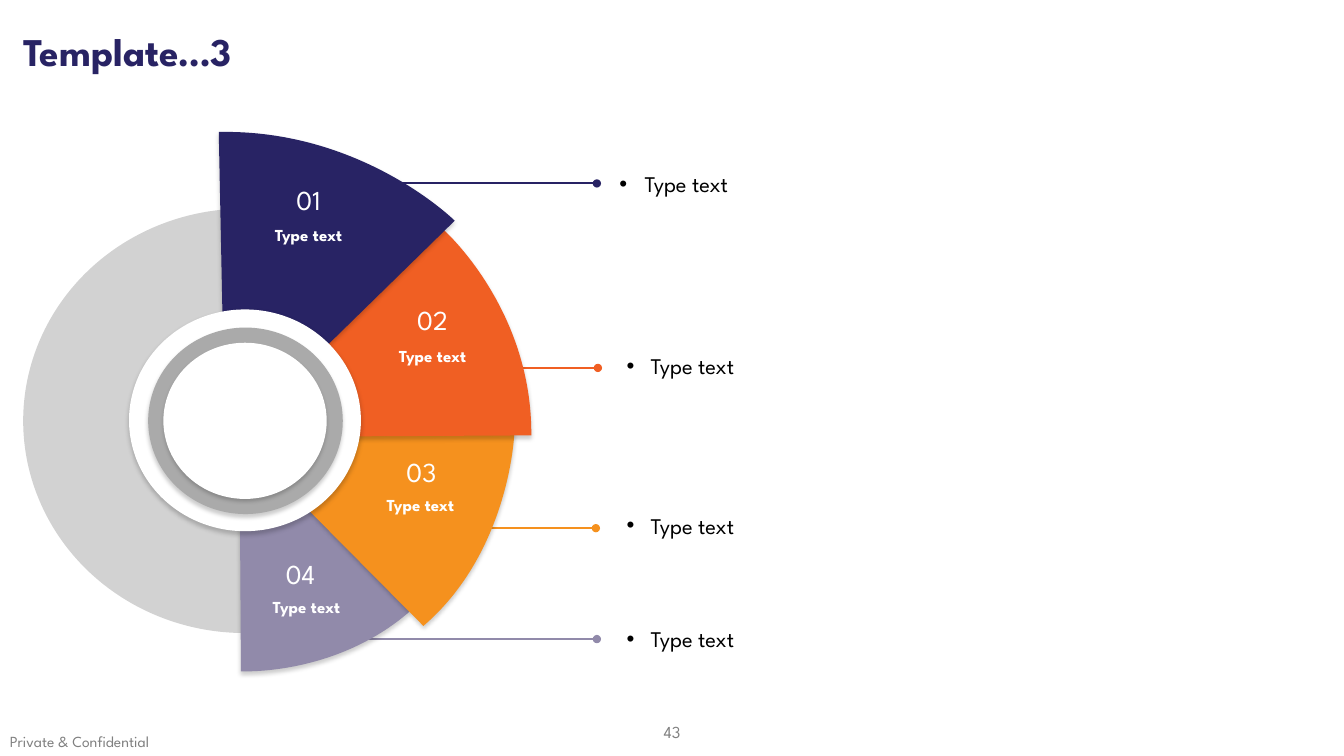
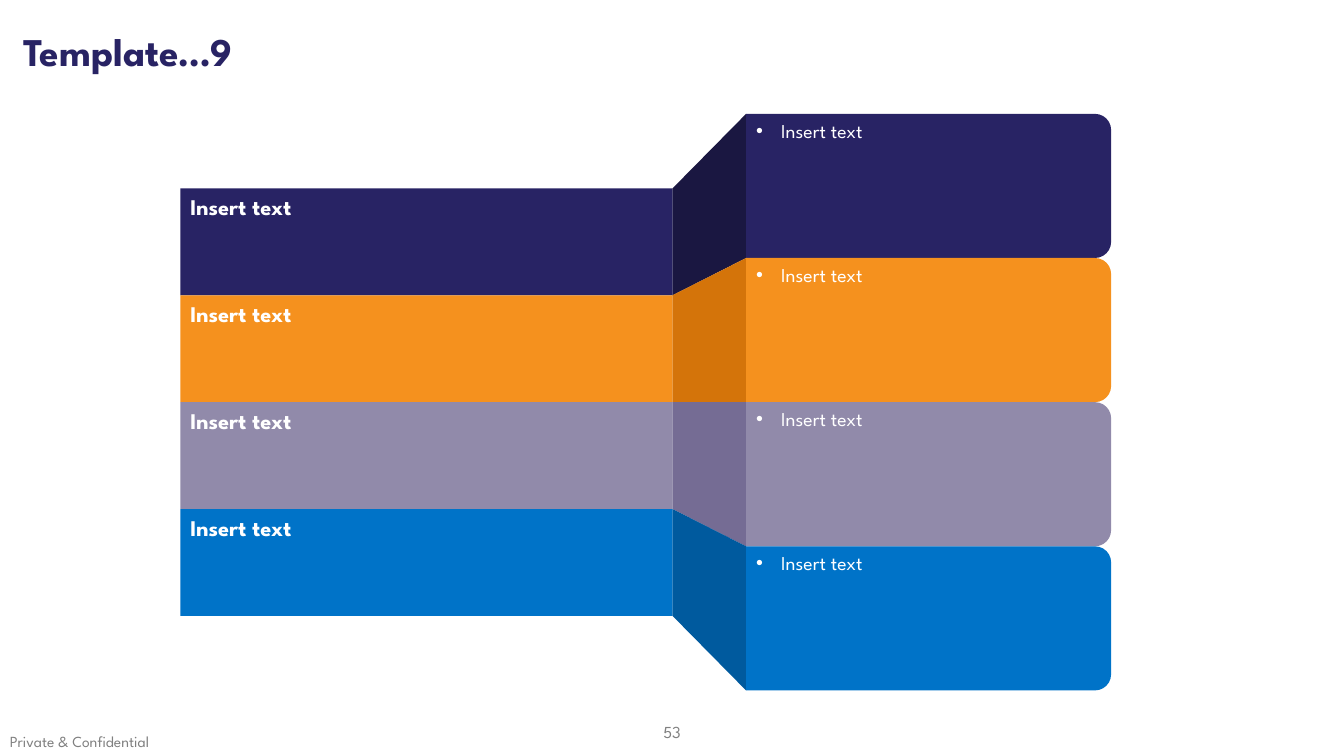
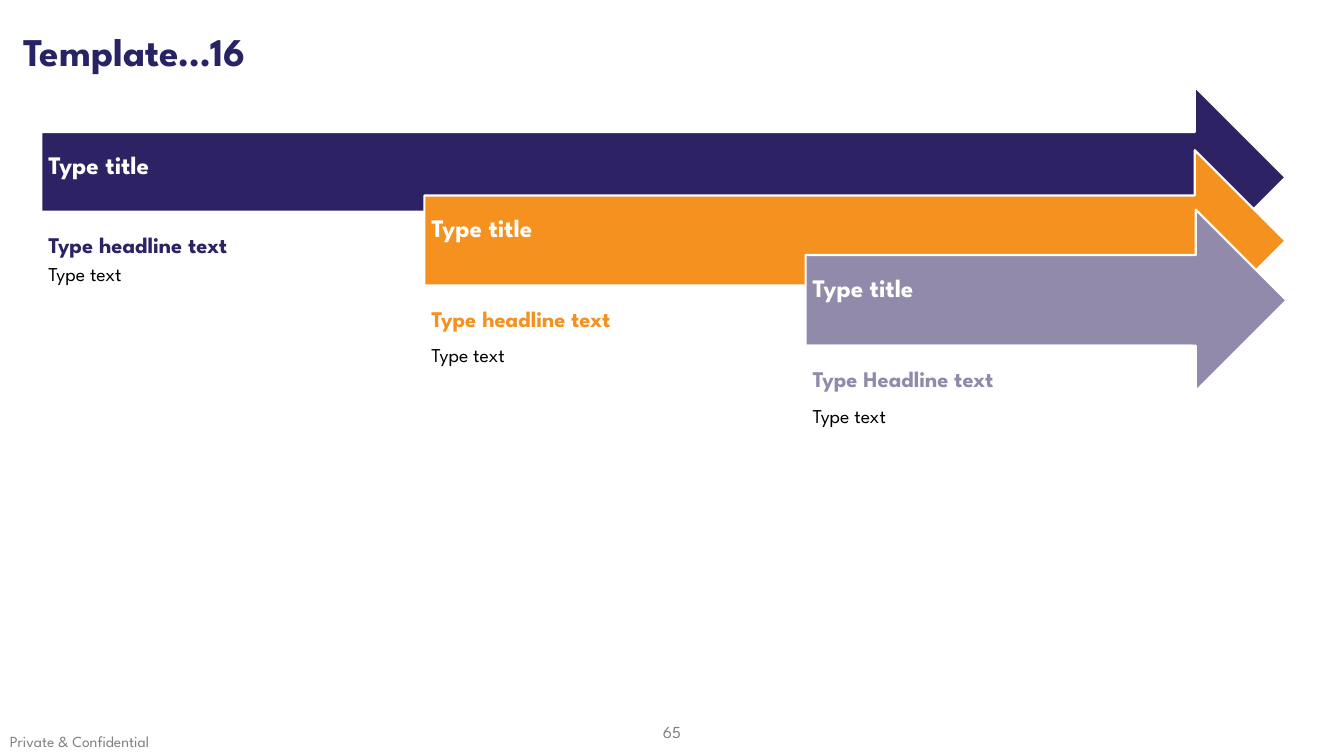
from lxml import etree
from pptx import Presentation
from pptx.dml.color import RGBColor
from pptx.enum.shapes import MSO_CONNECTOR, MSO_SHAPE as Preset
from pptx.enum.text import MSO_ANCHOR as Anchor, PP_ALIGN as Align
from pptx.oxml.ns import qn
from pptx.util import Inches, Pt

FONT = "League Spartan"
NAVY = RGBColor(0x28, 0x23, 0x64)
INDIGO = RGBColor(0x2D, 0x23, 0x64)
ORANGE = RGBColor(0xF0, 0x5F, 0x23)
AMBER = RGBColor(0xF5, 0x91, 0x1E)
LILAC = RGBColor(0x91, 0x8A, 0xAA)
BLUE = RGBColor(0x00, 0x73, 0xC8)
NAVY_DARK = RGBColor(0x1A, 0x17, 0x41)
AMBER_DARK = RGBColor(0xD4, 0x74, 0x0A)
LILAC_DARK = RGBColor(0x75, 0x6C, 0x94)
BLUE_DARK = RGBColor(0x00, 0x5A, 0x9E)
PALE_GREY = RGBColor(0xD2, 0xD2, 0xD2)
MID_GREY = RGBColor(0xAA, 0xAA, 0xAA)
FOOTER_GREY = RGBColor(0x80, 0x80, 0x80)
WHITE = RGBColor(0xFF, 0xFF, 0xFF)
BLACK = RGBColor(0, 0, 0)

DEFAULT_INSETS = (0.1, 0.05, 0.1, 0.05)
NO_INSETS = (0, 0, 0, 0)


# Text
def set_frame(frame, insets=DEFAULT_INSETS, anchor=Anchor.TOP):
    frame.word_wrap = True
    frame.vertical_anchor = anchor
    (frame.margin_left, frame.margin_top,
     frame.margin_right, frame.margin_bottom) = map(Inches, insets)


def write(paragraph, text, size, color, bold=False, align=Align.LEFT,
          spacing=1.0, after=0):
    paragraph.alignment = align
    paragraph.line_spacing = spacing
    paragraph.space_after = Pt(after)
    run = paragraph.add_run()
    run.text = text
    run.font.name = FONT
    run.font.size = Pt(size)
    run.font.bold = bold
    run.font.color.rgb = color


def add_break(paragraph, size):
    paragraph.add_line_break()
    etree.SubElement(paragraph._p[-1], qn("a:rPr"), sz=str(size * 100))


def add_bullet(paragraph, margin, hanging):
    props = paragraph._p.get_or_add_pPr()
    props.set("marL", str(Inches(margin)))
    props.set("indent", str(-Inches(hanging)))
    etree.SubElement(props, qn("a:buFont")).set("typeface", "Arial")
    etree.SubElement(props, qn("a:buChar")).set("char", "•")


def add_label(slide, at, text, size, color, insets=DEFAULT_INSETS,
              anchor=Anchor.TOP, bullet=None, **style):
    box = slide.shapes.add_textbox(*map(Inches, at))
    set_frame(box.text_frame, insets, anchor)
    paragraph = box.text_frame.paragraphs[0]
    if bullet:
        add_bullet(paragraph, *bullet)
    write(paragraph, text, size, color, **style)


# Shapes
def paint(shape, fill, outline=None, shadow=False):
    if fill is None:
        shape.fill.background()
    else:
        shape.fill.solid()
        shape.fill.fore_color.rgb = fill
    if outline:
        shape.line.color.rgb = outline
        shape.line.width = Pt(1.5)
    else:
        shape.line.fill.background()
    shape.shadow.inherit = False
    if shadow:
        effects = shape._element.spPr.find(qn("a:effectLst"))
        outer = etree.SubElement(effects, qn("a:outerShdw"), blurRad=str(Pt(3)),
                                 dist=str(Pt(2)), dir="5400000", rotWithShape="0")
        tone = etree.SubElement(outer, qn("a:srgbClr"), val="000000")
        etree.SubElement(tone, qn("a:alpha"), val="20000")


def add_preset(slide, preset, at, fill, **finish):
    shape = slide.shapes.add_shape(preset, *map(Inches, at))
    paint(shape, fill, **finish)
    return shape


def add_outline(slide, points, fill, **finish):
    corners = [(Inches(x), Inches(y)) for x, y in points]
    builder = slide.shapes.build_freeform(*corners[0], scale=1.0)
    builder.add_line_segments(corners[1:], close=True)
    shape = builder.convert_to_shape()
    paint(shape, fill, **finish)
    return shape


def round_rim(shape):
    """Turn the last three corners into a curve: start, pull and end."""
    start, pull, end = list(shape._element.iter(qn("a:lnTo")))[-3:]
    rim = etree.Element(qn("a:cubicBezTo"))
    start.addnext(rim)
    for x, y in [(corner[0].get("x"), corner[0].get("y")) for corner in (start, pull, end)]:
        etree.SubElement(rim, qn("a:pt"), x=x, y=y)
    for corner in (pull, end):
        corner.getparent().remove(corner)


def add_leader(slide, left, right, y, color):
    leader = slide.shapes.add_connector(
        MSO_CONNECTOR.STRAIGHT, Inches(left), Inches(y), Inches(right), Inches(y))
    leader.line.color.rgb = color
    leader.line.width = Pt(1.5)
    line = leader.line._get_or_add_ln()
    for end in ("a:headEnd", "a:tailEnd"):
        etree.SubElement(line, qn(end), type="oval")
    etree.SubElement(leader._element.spPr, qn("a:effectLst"))


# Shared title, page number and footer
def new_slide(prs, title, number):
    slide = prs.slides.add_slide(prs.slide_layouts[5])
    heading = slide.shapes.title
    heading.left, heading.top, heading.width, heading.height = map(
        Inches, (0, 0.01, 13.33, 1.05))
    set_frame(heading.text_frame, (0.23, 0.05, 0.1, 0.05), Anchor.MIDDLE)
    write(heading.text_frame.paragraphs[0], title, 28, NAVY, bold=True, spacing=0.9)
    add_label(slide, (6.37, 7.06, 0.59, 0.4), number, 12, FOOTER_GREY,
              anchor=Anchor.MIDDLE, align=Align.CENTER)
    add_label(slide, (0, 7.21, 3.32, 0.29), "Private & Confidential", 11, FOOTER_GREY)
    return slide


def build_fan(prs):
    slide = new_slide(prs, "Template…3", "43")

    # Leaders: left, right, y, colour
    for leader in ((2.99, 5.92, 1.82, NAVY), (3.39, 5.92, 6.34, LILAC),
                   (4.69, 5.91, 5.24, AMBER), (4.78, 5.93, 3.65, ORANGE)):
        add_leader(slide, *leader)

    # Fan: inner corners, then the curved rim (start, pull, end)
    add_preset(slide, Preset.OVAL, (0.23, 2.07, 4.39, 4.21), PALE_GREY)
    wedges = (
        (LILAC, [(3.86, 5.45), (3.33, 5.06), (2.95, 4.95), (2.38, 5.1)],
         [(2.39, 6.66), (3.32, 6.71), (4.06, 6.07)]),
        (AMBER, [(2.95, 4.95), (3.38, 4.33), (5.11, 4.18)],
         [(5.1, 4.32), (5.05, 5.48), (4.2, 6.21)]),
        (ORANGE, [(3.38, 4.33), (3.08, 3.53), (4.29, 2.2)],
         [(4.41, 2.29), (5.28, 3.07), (5.27, 4.32)]),
        (NAVY, [(2.21, 3.27), (3.13, 3.54)],
         [(4.51, 2.19), (3.59, 1.28), (2.17, 1.31)]),
    )
    for color, corners, rim in wedges:
        round_rim(add_outline(slide, corners + rim, color, shadow=True))

    # Hub
    for at, fill in (((1.28, 3.07, 2.3, 2.2), WHITE),
                     ((1.47, 3.25, 1.93, 1.85), MID_GREY),
                     ((1.62, 3.4, 1.62, 1.55), WHITE)):
        add_preset(slide, Preset.OVAL, at, fill, shadow=True)

    # Wedge labels: number position, caption position, caption width
    spots = (((2.47, 1.82), (2.47, 2.23), 1.18), ((3.7, 3.01), (3.7, 3.43), 1.18),
             ((3.59, 4.51), (3.58, 4.91), 1.18), ((2.39, 5.53), (2.53, 5.92), 1.02))
    for index, (number_at, caption_at, caption_width) in enumerate(spots, 1):
        add_label(slide, (*number_at, 1.18, 0.35), f"{index:02}", 19.6, WHITE,
                  NO_INSETS, align=Align.CENTER)
        add_label(slide, (*caption_at, caption_width, 0.2), "Type text", 12, WHITE,
                  NO_INSETS, bold=True, align=Align.CENTER)

    # Notes beside the leaders
    for top, bullet in ((1.67, (0.25, 0.25)), (3.48, (0.31, 0.24)),
                        (5.06, (0.31, 0.24)), (6.19, (0.31, 0.24))):
        note = add_preset(slide, Preset.ROUNDED_RECTANGLE, (6.13, top, 4.3, 0.3), None)
        set_frame(note.text_frame, NO_INSETS, Anchor.MIDDLE)
        paragraph = note.text_frame.paragraphs[0]
        add_bullet(paragraph, *bullet)
        write(paragraph, "Type text", 16, BLACK)


def build_folded_bands(prs):
    slide = new_slide(prs, "Template…9", "53")
    band_left, fold_left, panel_left = 1.79, 6.67, 7.4
    band_top, band_height = 1.87, 1.06
    panel_top, panel_width, panel_height, radius = 1.13, 3.62, 1.43, 0.16

    rows = ((NAVY, NAVY_DARK), (AMBER, AMBER_DARK), (LILAC, LILAC_DARK), (BLUE, BLUE_DARK))
    for row, (color, shade) in enumerate(rows):
        band_y = band_top + row * band_height
        panel_y = panel_top + row * panel_height

        add_outline(slide, [(fold_left, band_y), (panel_left, panel_y),
                            (panel_left, panel_y + panel_height),
                            (fold_left, band_y + band_height)], shade)

        band = add_preset(slide, Preset.RECTANGLE,
                          (band_left, band_y, fold_left - band_left, band_height), color)
        set_frame(band.text_frame)
        write(band.text_frame.paragraphs[0], "Insert text", 16, WHITE, bold=True)

        # A quarter turn puts the two rounded corners on the right
        shift = (panel_width - panel_height) / 2
        panel = add_preset(slide, Preset.ROUND_2_SAME_RECTANGLE,
                           (panel_left + shift, panel_y - shift, panel_height, panel_width),
                           color)
        panel.adjustments[0] = radius / panel_height
        panel.rotation = 90
        add_label(slide, (panel_left, panel_y, panel_width, 0.34), "Insert text", 14,
                  WHITE, bullet=(0.25, 0.25))


def build_arrows(prs):
    slide = new_slide(prs, "Template…16", "65")
    # Arrow place, panel place, colour, headline, whether the body is its own paragraph
    stages = (
        ((0.41, 0.86, 12.34, 1.8), (0.41, 2.09, 3.8, 4.48), INDIGO,
         "Type headline text", True),
        ((4.21, 1.49, 8.54, 1.8), (4.21, 2.82, 3.8, 3.59), AMBER,
         "Type headline text", False),
        ((7.99, 2.08, 4.77, 1.8), (7.99, 3.42, 3.84, 3.54), LILAC,
         "Type Headline text", False),
    )
    for arrow_at, panel_at, color, headline, separate in stages:
        arrow = add_preset(slide, Preset.RIGHT_ARROW, arrow_at, color, outline=WHITE)
        set_frame(arrow.text_frame, (0.07, 0.07, 0.28, 0.29), Anchor.MIDDLE)
        write(arrow.text_frame.paragraphs[0], "Type title", 18, WHITE,
              bold=True, spacing=0.9)

        panel = add_preset(slide, Preset.RECTANGLE, panel_at, WHITE)
        frame = panel.text_frame
        set_frame(frame, (0.07, 0.07, 0.07, 0.07))
        paragraph = frame.paragraphs[0]
        write(paragraph, headline, 16, color, bold=True, spacing=1.5, after=3)
        if separate:
            write(frame.add_paragraph(), "Type text", 14, BLACK, after=3)
        else:
            add_break(paragraph, 16)
            write(paragraph, "Type text", 14, BLACK, spacing=1.5, after=3)


def main():
    prs = Presentation()
    prs.slide_width, prs.slide_height = Inches(13.33), Inches(7.5)
    build_fan(prs)
    build_folded_bands(prs)
    build_arrows(prs)
    prs.save("out.pptx")


if __name__ == "__main__":
    main()
